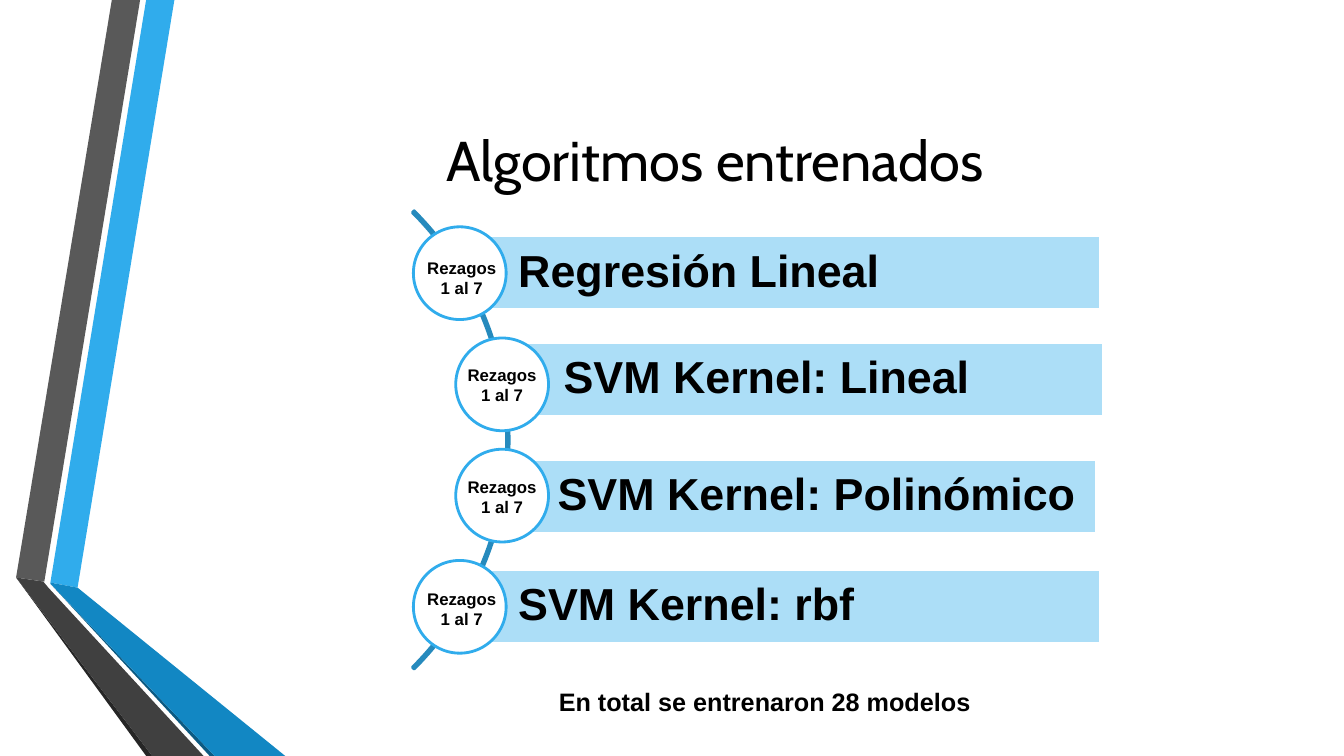
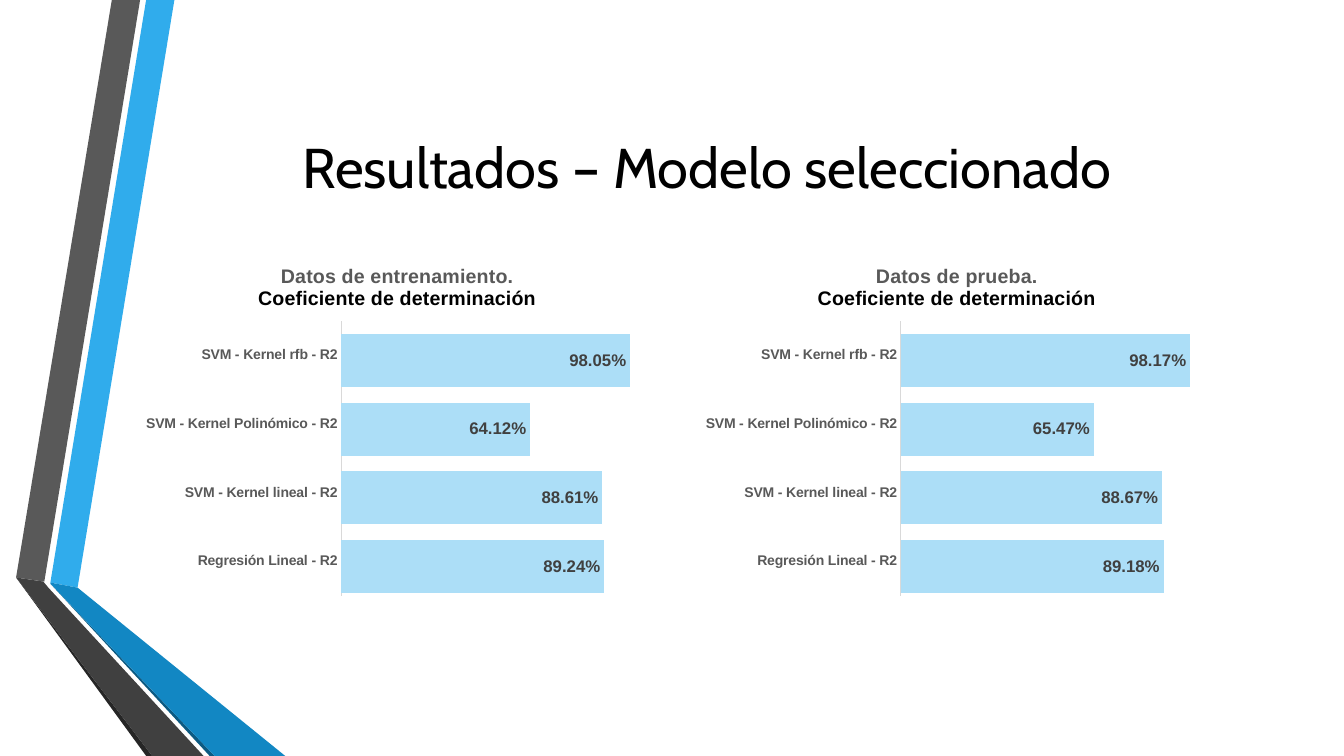
import lxml.etree
import pptx
import pptx.chart.data
import pptx.dml.color
import pptx.enum.chart
import pptx.enum.shapes
import pptx.enum.text
import pptx.oxml.ns
import pptx.util

Inches = pptx.util.Inches
Pt = pptx.util.Pt
qn = pptx.oxml.ns.qn
SHAPE = pptx.enum.shapes.MSO_SHAPE
ANCHOR = pptx.enum.text.MSO_ANCHOR
FIT = pptx.enum.text.MSO_AUTO_SIZE
CENTER = pptx.enum.text.PP_ALIGN.CENTER

THEME = {
    "colors": {
        "black": "000000", "white": "FFFFFF", "sky": "30ACEC", "pale": "ACDEF7",
        "blue": "1287C3", "navy": "0C5A82", "arc": "268ABD", "gray": "595959",
        "dark": "404040", "darkest": "262626", "rule": "D9D9D9",
        "green": "80C34F", "orange": "E29D3E",
    },
    "text": {
        "title": {"name": "Cabin", "size": Pt(40), "bold": False},
        "bar": {"name": "Arial", "size": Pt(32), "bold": True},
        "note": {"name": "Arial", "size": Pt(18), "bold": True},
        "chart_title": {"name": "Arial", "size": Pt(14), "bold": True},
        "label": {"name": "Arial", "size": Pt(12), "bold": True},
        "axis": {"name": "Arial", "size": Pt(10), "bold": True},
        "chart": {"name": "Arial", "size": Pt(10)},
    },
}

BANDS = [
    ("sky", [(0.5, 5.78), (0.77, 5.83), (1.73, 0), (1.45, 0)]),
    ("gray", [(1.39, 0), (1.11, 0), (0.16, 5.73), (0.44, 5.77)]),
    ("darkest", [(0.16, 5.73), (1.45, 7.5), (1.51, 7.5)]),
    ("navy", [(0.5, 5.79), (2.08, 7.5), (2.13, 7.5)]),
    ("blue", [(0.5, 5.79), (2.13, 7.5), (2.83, 7.5), (0.77, 5.83), (0.5, 5.78)]),
    ("dark", [(2.02, 7.5), (0.48, 5.83), (0.43, 5.77), (0.16, 5.73), (1.51, 7.5)]),
]

ALGORITHMS = {
    "title": ("Algoritmos entrenados", 1.61, 1.24),
    "tag": "Rezagos 1 al 7",
    "rows": [
        {"name": "Regresión Lineal", "bar": (4.56, 2.34, 6.35), "circle": 4.1, "tag": (4.1, 2.51)},
        {"name": "SVM Kernel: Lineal", "bar": (5.01, 3.4, 5.93), "circle": 4.52, "tag": (4.5, 3.57)},
        {"name": "SVM Kernel: Polinómico", "bar": (4.95, 4.56, 5.93), "circle": 4.52, "tag": (4.5, 4.68)},
        {"name": "SVM Kernel: rbf", "bar": (4.56, 5.65, 6.35), "circle": 4.1, "tag": (4.1, 5.79)},
    ],
    "circle_tops": (2.25, 5.56),
    "note": "En total se entrenaron 28 modelos",
}

RESULTS = {
    "title": ("Resultados – Modelo seleccionado", 1.53, 1.31),
    "measure": "Coeficiente de determinación",
    "models": ["Regresión Lineal - R2", "SVM - Kernel lineal - R2",
               "SVM - Kernel Polinómico - R2", "SVM - Kernel rfb - R2"],
    "charts": [
        ("Datos de entrenamiento.", 1.37, [0.8924, 0.8861, 0.6412, 0.9805]),
        ("Datos de prueba.", 6.92, [0.8918, 0.8867, 0.6547, 0.9817]),
    ],
}


def color(name):
    return pptx.dml.color.RGBColor.from_string(THEME["colors"][name])


def assign(target, values):
    for key, value in values.items():
        setattr(target, key, value)


def style_font(font, style, tone="black"):
    assign(font, THEME["text"][style])
    font.color.rgb = color(tone)


def box_of(*lengths):
    return [Inches(length) for length in lengths]


def paint(shape, fill=None, line=None):
    shape.shadow.inherit = False
    if fill:
        shape.fill.solid()
        shape.fill.fore_color.rgb = color(fill)
    else:
        shape.fill.background()
    if line:
        shape.line.color.rgb = color(line)
        shape.line.width = Pt(2)
    else:
        shape.line.fill.background()


def write(shape, text, style, align, frame_values):
    frame = shape.text_frame
    assign(frame, {"word_wrap": True, **frame_values})
    para = frame.paragraphs[0]
    para.alignment = align
    span = para.add_run()
    span.text = text
    style_font(span.font, style)
    return para


def add_bands(page, layout):
    for index, (tone, points) in enumerate(BANDS):
        corners = [tuple(box_of(*point)) for point in points]
        builder = page.shapes.build_freeform(*corners[0])
        builder.add_line_segments(corners[1:], close=True)
        band = builder.convert_to_shape()
        paint(band, tone)
        layout.shapes.element.insert(2 + index, band.element)


def add_title(page, text, left, top):
    title = page.shapes.title
    assign(title, dict(zip(("left", "top", "width", "height"), box_of(left, top, 10.96, 0.56))))
    margins = {f"margin_{side}": 0 for side in ("left", "top", "right", "bottom")}
    write(title, text, "title", CENTER,
          {**margins, "vertical_anchor": ANCHOR.TOP, "auto_size": FIT.NONE})


def add_caption(page, box, text, style):
    caption = page.shapes.add_textbox(*box_of(*box))
    write(caption, text, style, CENTER, {"auto_size": FIT.SHAPE_TO_FIT_TEXT})


def build_algorithms(page):
    add_title(page, *ALGORITHMS["title"])
    arc = page.shapes.add_shape(SHAPE.BLOCK_ARC, *box_of(-1.38, 1.15, 6.43, 6.43))
    for index, value in enumerate((189, 27, 0.004)):
        arc.adjustments[index] = value
    paint(arc, line="arc")

    rows = ALGORITHMS["rows"]
    first, last = ALGORITHMS["circle_tops"]
    for index, row in enumerate(rows):
        bar = page.shapes.add_shape(SHAPE.RECTANGLE, *box_of(*row["bar"], 0.73))
        paint(bar, "pale", "white")
        para = write(bar, row["name"], "bar", pptx.enum.text.PP_ALIGN.LEFT,
                     {"margin_left": Inches(0.58), "margin_right": Inches(0.09),
                      "vertical_anchor": ANCHOR.MIDDLE})
        para.line_spacing = 0.9
        top = first + (last - first) * index / (len(rows) - 1)
        circle = page.shapes.add_shape(SHAPE.OVAL, *box_of(row["circle"], top, 0.92, 0.92))
        paint(circle, "white", "sky")
        add_caption(page, (*row["tag"], 0.96, 0.5), ALGORITHMS["tag"], "label")
    add_caption(page, (4.1, 6.76, 6.97, 0.4), ALGORITHMS["note"], "note")


def place(parent, index, inner=False, **fractions):
    for old in parent.findall(qn("c:layout")):
        parent.remove(old)
    layout = parent.makeelement(qn("c:layout"))
    parent.insert(index, layout)
    manual = lxml.etree.SubElement(layout, qn("c:manualLayout"))
    values = {"layoutTarget": "inner"} if inner else {}
    values.update(xMode="edge", yMode="edge", **fractions)
    for key, value in values.items():
        lxml.etree.SubElement(manual, qn(f"c:{key}")).set("val", str(value))


def add_result_chart(page, heading, left, values):
    data = pptx.chart.data.CategoryChartData(number_format="0.00%")
    data.categories = RESULTS["models"]
    blank = [None] * len(values)
    for number, numbers in enumerate((values, blank, blank), 1):
        data.add_series(f"Series {number}", numbers)
    chart = page.shapes.add_chart(pptx.enum.chart.XL_CHART_TYPE.BAR_CLUSTERED,
                                  *box_of(left, 2.44, 5.04, 3.54), data).chart
    style_font(chart.font, "chart")
    chart.has_legend = False

    title = chart.chart_title
    frame = title.text_frame
    for index, (text, tone) in enumerate(((heading, "gray"), (RESULTS["measure"], "black"))):
        para = frame.add_paragraph() if index else frame.paragraphs[0]
        para.alignment = CENTER
        span = para.add_run()
        span.text = text
        style_font(span.font, "chart_title", tone)
    place(title.element, 1, x=0.23, y=0.04)
    place(chart.element.find(".//" + qn("c:plotArea")), 0, True, x=0.4, y=0.21, w=0.58, h=0.77)

    axis = chart.category_axis
    axis.major_tick_mark = pptx.enum.chart.XL_TICK_MARK.NONE
    style_font(axis.tick_labels.font, "axis", "gray")
    axis.format.line.color.rgb = color("rule")
    axis.format.line.width = Pt(0.75)
    assign(chart.value_axis, {"visible": False, "minimum_scale": 0, "maximum_scale": 1,
                              "has_major_gridlines": False})

    plot = chart.plots[0]
    assign(plot, {"gap_width": 10, "overlap": 90, "vary_by_categories": False})
    for series, tone in zip(plot.series, ("pale", "green", "orange")):
        series.format.fill.solid()
        series.format.fill.fore_color.rgb = color(tone)
    labels = plot.series[0].data_labels
    assign(labels, {"show_value": True, "number_format": "0.00%", "number_format_is_linked": False,
                    "position": pptx.enum.chart.XL_LABEL_POSITION.INSIDE_END})
    style_font(labels.font, "label", "dark")


def build_results(page):
    add_title(page, *RESULTS["title"])
    for heading, left, values in RESULTS["charts"]:
        add_result_chart(page, heading, left, values)


def main():
    deck = pptx.Presentation()
    assign(deck, {"slide_width": Inches(13.33), "slide_height": Inches(7.5)})
    layout = deck.slide_layouts.get_by_name("Title Only")
    pages = [deck.slides.add_slide(layout) for _ in range(2)]
    add_bands(pages[0], layout)
    build_algorithms(pages[0])
    build_results(pages[1])
    deck.save("out.pptx")


if __name__ == "__main__":
    main()
